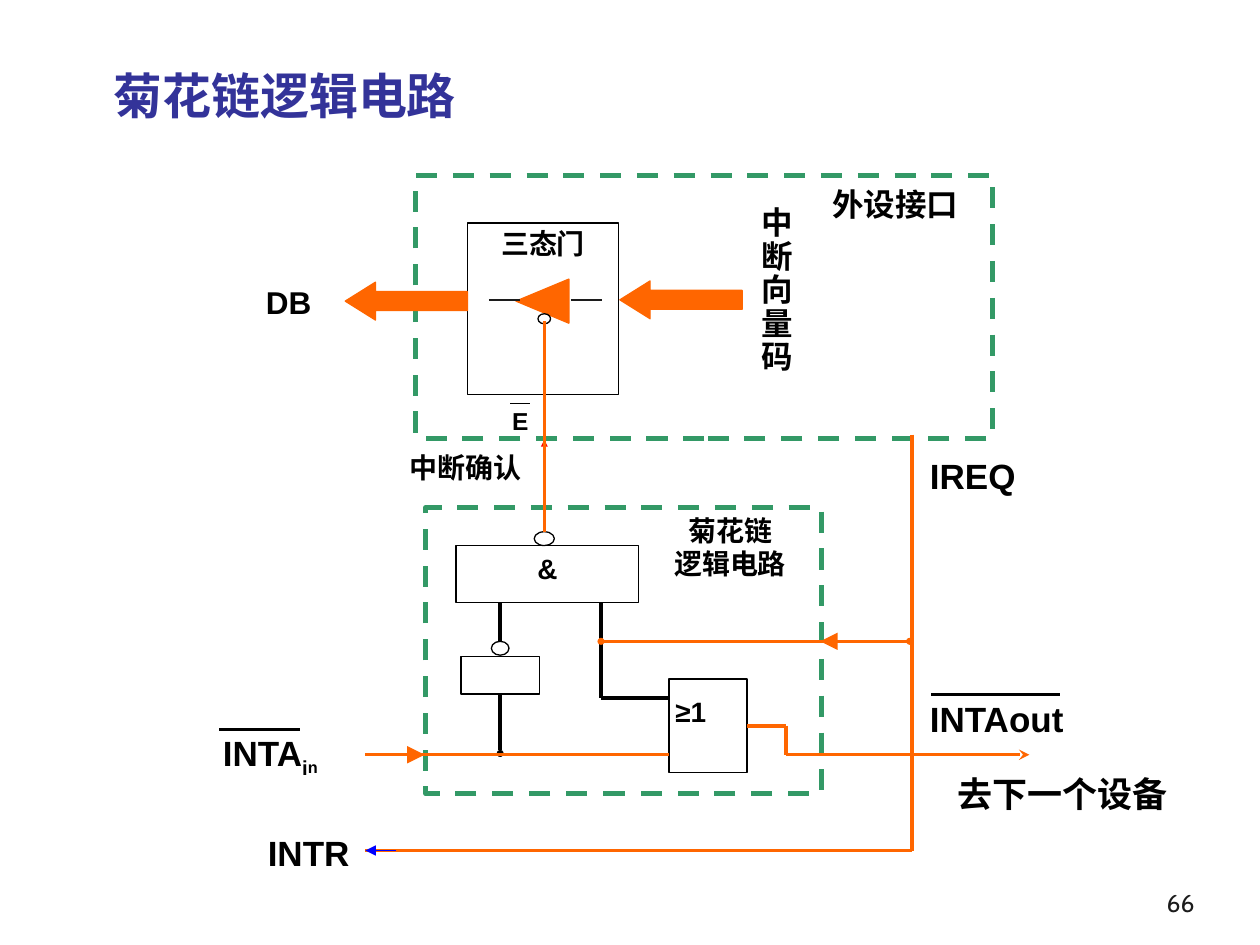
import pptx
import pptx.dml.color
import pptx.enum.dml
import pptx.enum.shapes
import pptx.enum.text
import pptx.oxml
import pptx.oxml.ns
import pptx.util
from dataclasses import dataclass

Inches = pptx.util.Inches
Pt = pptx.util.Pt
SHAPE = pptx.enum.shapes.MSO_SHAPE
ALIGN = pptx.enum.text.PP_ALIGN
ANCHOR = pptx.enum.text.MSO_ANCHOR


@dataclass(frozen=True)
class Theme:
    title: str = "333399"
    ink: str = "000000"
    soft_ink: str = "1C1C1C"
    paper: str = "FFFFFF"
    boundary: str = "339966"
    signal: str = "FF6600"
    request: str = "0000FF"
    acknowledge: str = "FF0000"
    latin: str = "Arial"
    serif: str = "Times New Roman"
    sans: str = "Cabin"
    chinese: str = "Noto Sans CJK SC"
    title_size: int = 28
    pin_size: int = 20
    label_size: int = 18
    gate_size: int = 16
    small_size: int = 14
    paragraph_gap: float = 0.2
    thin: float = 0.75
    overline: float = 1.5
    wire: float = 2
    border: float = 3


THEME = Theme()


def rgb(color):
    return pptx.dml.color.RGBColor.from_string(color)


def drawing_element(tag, **attributes):
    element = pptx.oxml.parse_xml(f"<a:{tag} {pptx.oxml.ns.nsdecls('a')}/>")
    for name, value in attributes.items():
        element.set(name, value)
    return element


def format_run(run, size, face, color=THEME.ink, bold=True):
    run.font.size = Pt(size)
    run.font.bold = bold
    run.font.color.rgb = rgb(color)
    run.font.name = face
    run._r.get_or_add_rPr().append(drawing_element("ea", typeface=THEME.chinese))


def write(shape, text, size, face=THEME.latin, align=ALIGN.CENTER, insets=(0, 0, 0, 0),
          spacing=None, anchor=ANCHOR.TOP, color=THEME.ink, bold=True):
    frame = shape.text_frame
    frame.word_wrap = True
    frame.auto_size = pptx.enum.text.MSO_AUTO_SIZE.NONE
    frame.vertical_anchor = anchor
    (frame.margin_left, frame.margin_top,
     frame.margin_right, frame.margin_bottom) = map(Inches, insets)
    frame.text = text
    for index, paragraph in enumerate(frame.paragraphs):
        paragraph.alignment = align
        paragraph.space_before = Pt(size * THEME.paragraph_gap if index else 0)
        if spacing:
            paragraph.line_spacing = spacing
        for run in paragraph.runs:
            format_run(run, size, face, color, bold)
    return frame


def add_label(slide, box, text, size, face=THEME.latin, **style):
    return write(slide.shapes.add_textbox(*map(Inches, box)), text, size, face, **style)


def add_pin(slide, box, text):
    return add_label(slide, box, text, THEME.pin_size, align=ALIGN.LEFT, insets=(0, 0.05, 0, 0.05))


def add_block(slide, box, kind=SHAPE.RECTANGLE, fill=None, line=THEME.ink, width=THEME.thin):
    block = slide.shapes.add_shape(kind, *map(Inches, box))
    block.shadow.inherit = False
    if fill:
        block.fill.solid()
        block.fill.fore_color.rgb = rgb(fill)
    else:
        block.fill.background()
    block.line.color.rgb = rgb(line)
    block.line.width = Pt(width)
    return block


def add_boundary(slide, box):
    boundary = add_block(slide, box, fill=THEME.paper, line=THEME.boundary, width=THEME.border)
    boundary.line.dash_style = pptx.enum.dml.MSO_LINE.DASH


def add_bubble(slide, box):
    return add_block(slide, box, SHAPE.FLOWCHART_CONNECTOR)


def add_bus_arrow(slide, left, top):
    arrow = add_block(slide, (left, top, 0.97, 0.3), SHAPE.LEFT_ARROW, THEME.signal, THEME.signal)
    arrow.adjustments[1] = 0.8


def add_wire(slide, start, end, color=THEME.signal, width=THEME.wire,
             head=None, tail=None, end_size="med"):
    wire = slide.shapes.add_connector(
        pptx.enum.shapes.MSO_CONNECTOR.STRAIGHT, *map(Inches, start + end))
    wire.line.color.rgb = rgb(color)
    wire.line.width = Pt(width)
    outline = wire.line._get_or_add_ln()
    for tag, kind in (("headEnd", head), ("tailEnd", tail)):
        if kind:
            outline.append(drawing_element(tag, type=kind, w=end_size, len=end_size))
    wire._element.spPr.append(drawing_element("effectLst"))
    return wire


def add_direction(slide, start, end, color=THEME.signal, size="lg"):
    add_wire(slide, start, end, color, THEME.thin, tail="triangle", end_size=size)


def add_title(slide, text):
    title = slide.shapes.title
    title.left, title.top, title.width, title.height = map(Inches, (0.9, 0.52, 3.07, 0.47))
    write(title, text, THEME.title_size, align=ALIGN.LEFT, anchor=ANCHOR.MIDDLE, color=THEME.title)


def add_chain_logic(slide):
    add_boundary(slide, (3.38, 4.03, 3.14, 2.27))
    and_gate = add_block(slide, (3.62, 4.33, 1.45, 0.45))
    write(and_gate, "&", THEME.gate_size, insets=(0.1, 0.05, 0.1, 0.05))
    and_bubble = add_bubble(slide, (4.24, 4.22, 0.16, 0.11))
    inverter = add_block(slide, (3.66, 5.21, 0.62, 0.3))
    inverter_bubble = add_bubble(slide, (3.9, 5.09, 0.14, 0.11))
    or_gate = add_block(slide, (5.31, 5.39, 0.62, 0.74))
    write(or_gate, "≥1", THEME.gate_size, align=ALIGN.LEFT, insets=(0.05, 0.12, 0, 0))

    add_wire(slide, (3.97, 4.78), (3.97, 5.09), THEME.ink).end_connect(inverter_bubble, 0)
    add_wire(slide, (4.77, 4.78), (4.77, 5.54), THEME.ink)
    add_wire(slide, (4.77, 5.54), (5.31, 5.54), THEME.ink)
    inverter_input = add_wire(slide, (3.97, 5.51), (3.97, 5.98), THEME.ink,
                              tail="oval", end_size="sm")
    inverter_input.begin_connect(inverter, 2)
    add_wire(slide, (5.93, 5.76), (6.24, 5.76)).begin_connect(or_gate, 3)
    add_wire(slide, (6.24, 5.76), (6.24, 5.99))
    add_wire(slide, (6.24, 5.99), (8.17, 5.99), tail="stealth")
    add_wire(slide, (2.9, 5.99), (5.31, 5.99))
    add_direction(slide, (3.13, 5.99), (3.37, 5.99))
    add_label(slide, (5.23, 4.13, 1.11, 0.41), "菊花链\n逻辑电路", THEME.gate_size, THEME.serif,
              spacing=0.8, insets=(0.02, 0, 0, 0))
    return and_bubble


def add_request_lines(slide):
    add_wire(slide, (7.24, 3.45), (7.24, 6.75))
    add_wire(slide, (7.24, 6.75), (2.9, 6.75))
    add_wire(slide, (4.77, 5.09), (7.22, 5.09), head="oval", tail="oval", end_size="sm")
    add_direction(slide, (6.76, 5.09), (6.51, 5.09))
    add_direction(slide, (3.14, 6.75), (2.9, 6.75), THEME.request, "med")


def add_tristate_gate(slide, and_bubble):
    add_direction(slide, (4.32, 3.64), (4.32, 3.49), THEME.acknowledge, "sm")
    add_block(slide, (3.71, 1.77, 1.2, 1.36))
    buffer = add_block(slide, (4.13, 2.18, 0.35, 0.42), SHAPE.FLOWCHART_MERGE,
                       THEME.signal, THEME.signal)
    buffer.rotation = 90
    add_bubble(slide, (4.27, 2.49, 0.1, 0.08))
    add_bus_arrow(slide, 2.74, 2.24)
    add_bus_arrow(slide, 4.92, 2.23)
    add_wire(slide, (4.32, 2.55), (4.32, 4.22)).end_connect(and_bubble, 0)
    for left in (3.88, 4.53):
        add_wire(slide, (left, 2.38), (left + 0.25, 2.38), THEME.soft_ink, THEME.overline)
    add_label(slide, (3.95, 1.8, 0.72, 0.31), "三态门", THEME.gate_size, THEME.serif)
    add_label(slide, (4.01, 3.22, 0.24, 0.22), "E", THEME.small_size)
    add_wire(slide, (4.05, 3.2), (4.21, 3.2), THEME.ink, THEME.thin)


def add_interface_labels(slide):
    add_label(slide, (1.93, 2.25, 0.72, 0.3), "DB", THEME.label_size)
    add_label(slide, (5.92, 1.69, 0.48, 1.07), "\n".join("中断向量码"), THEME.label_size,
              THEME.serif, spacing=0.72, insets=(0.02, 0, 0, 0))
    add_label(slide, (6.38, 1.47, 1.45, 0.3), "外设接口", THEME.label_size, THEME.serif)
    add_label(slide, (3.11, 3.58, 1.03, 0.33), "中断确认", THEME.gate_size, THEME.serif,
              align=ALIGN.RIGHT)


def add_pins(slide):
    acknowledge_in = add_pin(slide, (1.77, 5.76, 0.97, 0.45), "INTA").paragraphs[0]
    for letter, size in (("i", THEME.pin_size), ("n", THEME.gate_size)):
        subscript = acknowledge_in.add_run()
        subscript.text = letter
        format_run(subscript, size, THEME.latin)
        subscript._r.get_or_add_rPr().set("baseline", "-25000")
    add_wire(slide, (1.74, 5.79), (2.38, 5.79), THEME.ink, THEME.overline)
    add_pin(slide, (7.38, 3.56, 0.72, 0.3), "IREQ")
    add_pin(slide, (7.38, 5.49, 1.19, 0.45), "INTAout")
    add_wire(slide, (7.39, 5.51), (8.41, 5.51), THEME.ink, THEME.overline)
    add_label(slide, (2.11, 6.6, 0.68, 0.22), "INTR", THEME.pin_size)
    add_label(slide, (7.5, 6.08, 1.9, 0.44), "去下一个设备", THEME.pin_size, THEME.sans,
              align=ALIGN.LEFT, insets=(0.1, 0.05, 0.1, 0.05))


def main():
    deck = pptx.Presentation()
    deck.slide_width, deck.slide_height = Inches(10), Inches(7.5)
    slide = deck.slides.add_slide(deck.slide_layouts[5])
    add_title(slide, "菊花链逻辑电路")
    add_boundary(slide, (3.3, 1.39, 4.58, 2.09))
    and_bubble = add_chain_logic(slide)
    add_request_lines(slide)
    add_tristate_gate(slide, and_bubble)
    add_interface_labels(slide)
    add_pins(slide)
    add_label(slide, (7.5, 6.83, 2.08, 0.5), "66", THEME.small_size, THEME.sans, align=ALIGN.RIGHT,
              insets=(0.1, 0.05, 0.1, 0.05), anchor=ANCHOR.BOTTOM, color=THEME.soft_ink, bold=False)
    deck.save("out.pptx")


if __name__ == "__main__":
    main()
